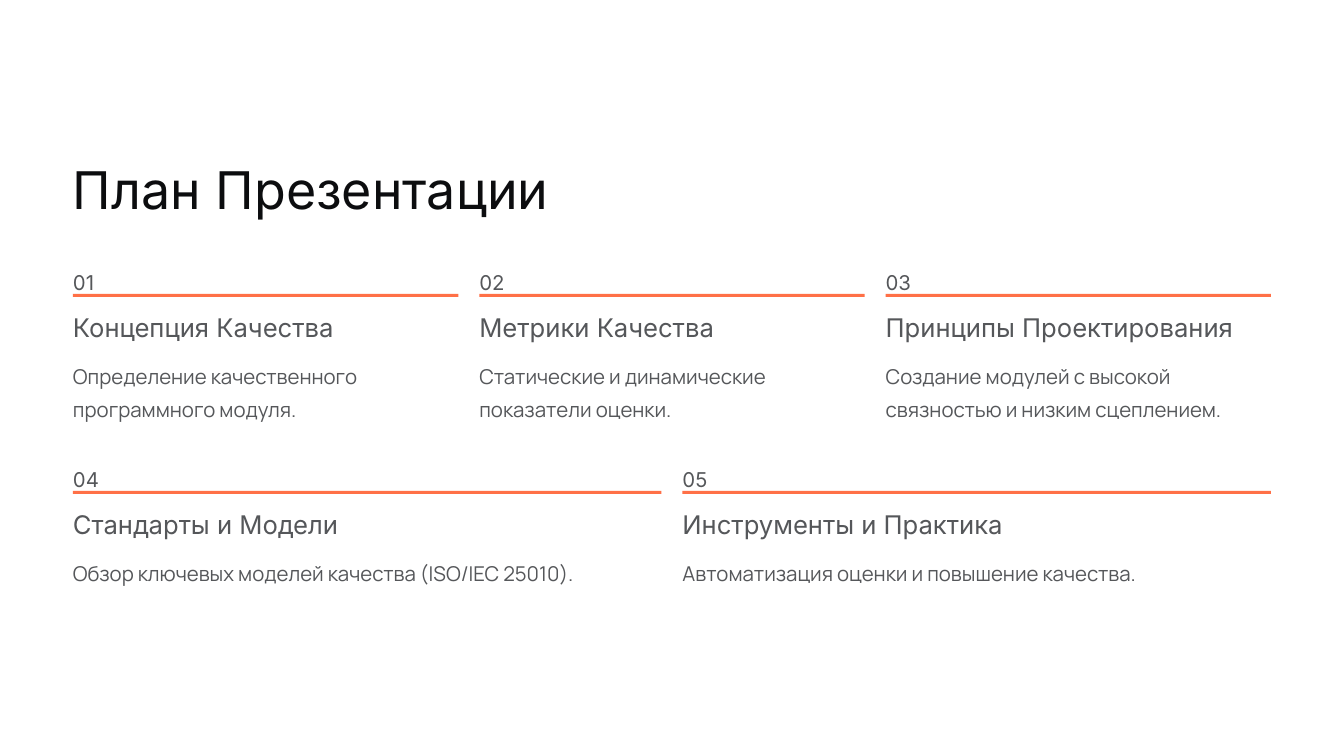
from pptx import Presentation
from pptx.dml.color import RGBColor
from pptx.enum.shapes import MSO_SHAPE as Shape
from pptx.util import Pt

TITLE = "План Презентации"
ROWS = [
    (261, 66, [
        ("01", "Концепция Качества", "Определение качественного программного модуля."),
        ("02", "Метрики Качества", "Статические и динамические показатели оценки."),
        ("03", "Принципы Проектирования",
         "Создание модулей с высокой связностью и низким сцеплением."),
    ]),
    (458, 33, [
        ("04", "Стандарты и Модели", "Обзор ключевых моделей качества (ISO/IEC 25010)."),
        ("05", "Инструменты и Практика", "Автоматизация оценки и повышение качества."),
    ]),
]

INK = RGBColor(0x0C, 0x0D, 0x0F)
GRAY = RGBColor(0x55, 0x57, 0x5A)
ORANGE = RGBColor(0xFF, 0x70, 0x47)

PX = 914400 // 84
LEFT, WIDTH, GAP = 73, 1198, 21
RULE_DROP, HEADING_DROP, BODY_DROP = 33, 50, 94


def px(*lengths):
    return [round(length * PX) for length in lengths]


def add_text(slide, text, place, font, size, leading, color):
    box = slide.shapes.add_textbox(*px(*place))
    frame = box.text_frame
    frame.word_wrap = True
    frame.margin_left = frame.margin_top = frame.margin_right = frame.margin_bottom = 0
    para = frame.paragraphs[0]
    para.text = text
    para.line_spacing = Pt(leading)
    para.font.name = font
    para.font.size = Pt(size)
    para.font.color.rgb = color


def add_rule(slide, place):
    rule = slide.shapes.add_shape(Shape.RECTANGLE, *px(*place))
    rule.shadow.inherit = False
    rule.fill.solid()
    rule.fill.fore_color.rgb = ORANGE
    rule.line.fill.background()


def main():
    deck = Presentation()
    deck.slide_width, deck.slide_height = px(1344, 756)
    slide = deck.slides.add_slide(deck.slide_layouts[6])

    add_text(slide, TITLE, (LEFT, 155, 521, 66), "Inter", 44.5, 55.5, INK)
    for top, body_height, topics in ROWS:
        width = (WIDTH - GAP * (len(topics) - 1)) / len(topics)
        for column, (number, heading, body) in enumerate(topics):
            left = LEFT + column * (width + GAP)
            add_text(slide, number, (left, top, 32, 33), "Inter", 17.5, 28.5, GRAY)
            add_rule(slide, (left, top + RULE_DROP, width, 3))
            add_text(slide, heading, (left, top + HEADING_DROP, width, 33),
                     "Inter", 22, 27.5, GRAY)
            add_text(slide, body, (left, top + BODY_DROP, width, body_height),
                     "Manrope", 17.5, 28.5, GRAY)

    deck.save("out.pptx")


if __name__ == "__main__":
    main()
